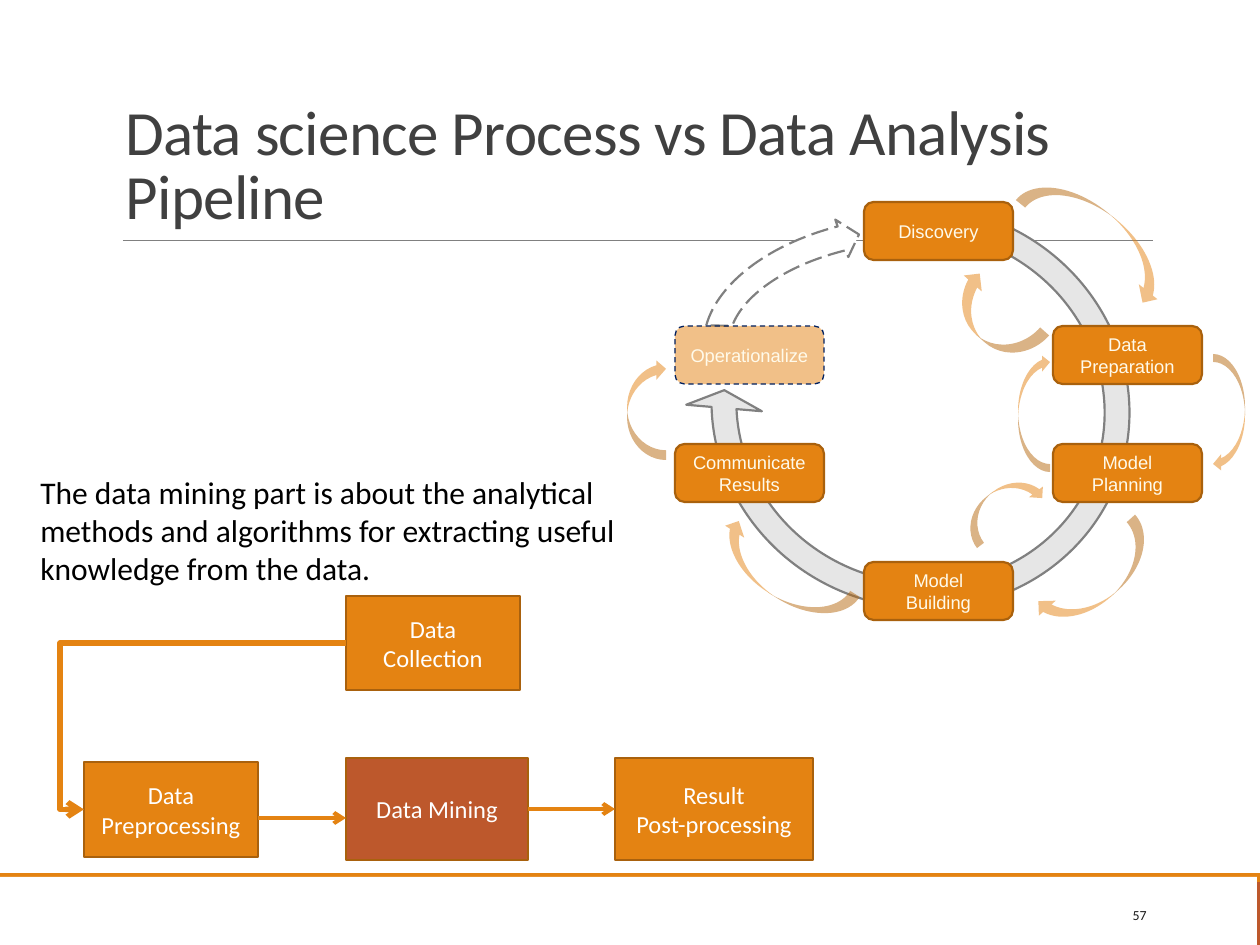
from lxml import etree
from pptx import Presentation
from pptx import util as u
from pptx.dml.color import RGBColor
from pptx.enum import dml, shapes, text
from pptx.oxml.ns import qn

EMU_PER_PX = 914400 / 126

ORANGE = RGBColor(0xE4, 0x83, 0x12)
RUST = RGBColor(0xBD, 0x58, 0x2C)
BROWN = RGBColor(0xA9, 0x61, 0x0D)
NAVY = RGBColor(0x00, 0x20, 0x60)
GREY = RGBColor(0x80, 0x80, 0x80)
PALE_GREY = RGBColor(0xE6, 0xE6, 0xE6)
DARK_GREY = RGBColor(0x40, 0x40, 0x40)
NEAR_BLACK = RGBColor(0x1A, 0x1A, 0x1A)
BLACK = RGBColor(0, 0, 0)
WHITE = RGBColor(0xFF, 0xFF, 0xFF)
CREAM = RGBColor(0xFF, 0xFA, 0xEA)

LEFT, CENTER, RIGHT = text.PP_ALIGN.LEFT, text.PP_ALIGN.CENTER, text.PP_ALIGN.RIGHT
TOP, MIDDLE, BOTTOM = text.MSO_ANCHOR.TOP, text.MSO_ANCHOR.MIDDLE, text.MSO_ANCHOR.BOTTOM
KIND = shapes.MSO_SHAPE
LEFT_SIDE, RIGHT_SIDE = 1, 3

COLUMNS = [675, 864, 1053]
ROWS = [202, 326, 444, 562]
STAGES = [
    ("Discovery", 1, 0),
    ("Data\nPreparation", 2, 1),
    ("Model Planning", 2, 2),
    ("Model Building", 1, 3),
    ("Communicate Results", 0, 2),
]
STEP_ARROWS = [
    ((1075, 149, 48, 175), 309),
    ((1075, 508, 45, 141), 48.2),
    ((1018, 354, 32, 118), 180),
    ((985, 461, 35, 91), 232.5),
    ((760, 498, 45, 154), 122.1),
    ((627, 359, 39, 101), 180),
    ((1213, 354, 32, 118), 0),
    ((970, 266, 48, 105), 131.7),
]


def px(*lengths):
    return [u.Emu(round(length * EMU_PER_PX)) for length in lengths]


def write(frame, content, size, color, font="Calibri", align=LEFT, anchor=TOP):
    frame.word_wrap = True
    frame.vertical_anchor = anchor
    frame.text = content
    for paragraph in frame.paragraphs:
        paragraph.alignment = align
        for run in paragraph.runs:
            run.font.name = font
            run.font.size = u.Pt(size)
            run.font.color.rgb = color


def add_text(parent, box, content, size, color, **style):
    label = parent.add_textbox(*px(*box))
    write(label.text_frame, content, size, color, **style)
    return label.text_frame.paragraphs[0]


def add_figure(parent, kind, box, fill, line=None, width=1.25, dash=None, alpha=None):
    figure = parent.add_shape(kind, *px(*box))
    figure.shadow.inherit = False
    figure.fill.solid()
    figure.fill.fore_color.rgb = fill
    if alpha:
        color = figure.fill._xPr.find(qn("a:solidFill"))[0]
        etree.SubElement(color, qn("a:alpha"), val=str(alpha * 1000))
    if line is None:
        figure.line.fill.background()
    else:
        figure.line.color.rgb = line
        figure.line.width = u.Pt(width)
        figure.line.dash_style = dash
    return figure


def add_step(parent, box, content, fill=ORANGE):
    step = add_figure(parent, KIND.RECTANGLE, box, fill, BROWN)
    write(step.text_frame, content, 14, WHITE, align=CENTER, anchor=MIDDLE)
    return step


def add_stage(parent, content, column, row, **look):
    box = (COLUMNS[column], ROWS[row], 149, 58)
    stage = add_figure(parent, KIND.ROUNDED_RECTANGLE, box, ORANGE, **look)
    write(stage.text_frame, content, 10.5, CREAM, "Arial", CENTER, MIDDLE)


def add_ring(parent, box, rotation, adjustments, fill, dash=None):
    ring = add_figure(parent, KIND.CIRCULAR_ARROW, box, fill, GREY, dash=dash)
    ring.rotation = rotation
    for index, value in enumerate(adjustments):
        ring.adjustments[index] = value


def add_line(parent, ends, color, width, kind=shapes.MSO_CONNECTOR.STRAIGHT, arrow=True):
    line = parent.add_connector(kind, *px(*ends))
    line.line.color.rgb = color
    line.line.width = u.Pt(width)
    if arrow:
        etree.SubElement(line.line._get_or_add_ln(), qn("a:tailEnd"), type="arrow")
    etree.SubElement(line._element.spPr, qn("a:effectLst"))
    return line


def add_frame(parent):
    add_figure(parent, KIND.RECTANGLE, (0, 882, 1260, 63), RUST)
    add_figure(parent, KIND.RECTANGLE, (0, 873, 1260, 9), ORANGE)
    add_line(parent, (123, 240, 1153, 240), GREY, 0.5, arrow=False)
    add_figure(parent, KIND.RECTANGLE, (0, 877, 1257, 68), WHITE)
    title = add_text(parent, (113, 39, 1040, 200),
                     "Data science Process vs Data Analysis Pipeline",
                     36, DARK_GREY, anchor=BOTTOM)
    title.line_spacing = 0.85
    title.runs[0].font._element.set("spc", "-40")
    add_text(parent, (1023, 890, 136, 50), "57", 7.9, NEAR_BLACK,
             align=RIGHT, anchor=MIDDLE)


def add_pipeline(parent):
    preprocessing = add_step(parent, (84, 762, 174, 95), "Data Preprocessing")
    mining = add_step(parent, (346, 758, 182, 102), "Data Mining", RUST)
    result = add_step(parent, (615, 758, 198, 102), "Result\nPost-processing")
    collection = add_step(parent, (346, 596, 174, 94), "Data Collection")

    add_line(parent, (258, 818, 346, 818), ORANGE, 2.25)
    to_result = add_line(parent, (528, 809, 615, 809), ORANGE, 2.25)
    to_result.begin_connect(mining, RIGHT_SIDE)
    to_result.end_connect(result, LEFT_SIDE)

    to_preprocessing = add_line(parent, (346, 643, 84, 810), ORANGE, 3,
                                shapes.MSO_CONNECTOR.ELBOW)
    to_preprocessing.begin_connect(collection, LEFT_SIDE)
    to_preprocessing.end_connect(preprocessing, LEFT_SIDE)
    guides = to_preprocessing._element.spPr.find(qn("a:prstGeom")).find(qn("a:avLst"))
    etree.SubElement(guides, qn("a:gd"), name="adj1", fmla="val 109100")


def add_life_cycle(parent):
    add_ring(parent, (685, 181, 471, 452), 198.6,
             (0.055, 3.12, 204.67, 52.25, 0.084), PALE_GREY)
    add_ring(parent, (774, 132, 236, 393), 262.8,
             (0.107, 5.86, 202.88, 166.91, 0.084), WHITE, dml.MSO_LINE.LONG_DASH)
    for content, column, row in STAGES:
        add_stage(parent, content, column, row, line=BROWN)
    add_stage(parent, "Operationalize", 0, 1, line=NAVY, width=0.75,
              dash=dml.MSO_LINE.DASH, alpha=50)
    for box, rotation in STEP_ARROWS:
        arrow = add_figure(parent, KIND.CURVED_LEFT_ARROW, box, ORANGE, alpha=50)
        arrow.rotation = rotation


def main():
    deck = Presentation()
    deck.slide_width, deck.slide_height = px(1260, 945)
    slide = deck.slides.add_slide(deck.slide_layouts[6])
    add_frame(slide.shapes)
    add_pipeline(slide.shapes.add_group_shape().shapes)
    add_life_cycle(slide.shapes.add_group_shape().shapes)
    add_text(slide.shapes, (28, 467, 630, 127),
             "The data mining part is about the analytical methods and algorithms "
             "for extracting useful knowledge from the data.", 18, BLACK)
    deck.save("out.pptx")


if __name__ == "__main__":
    main()
